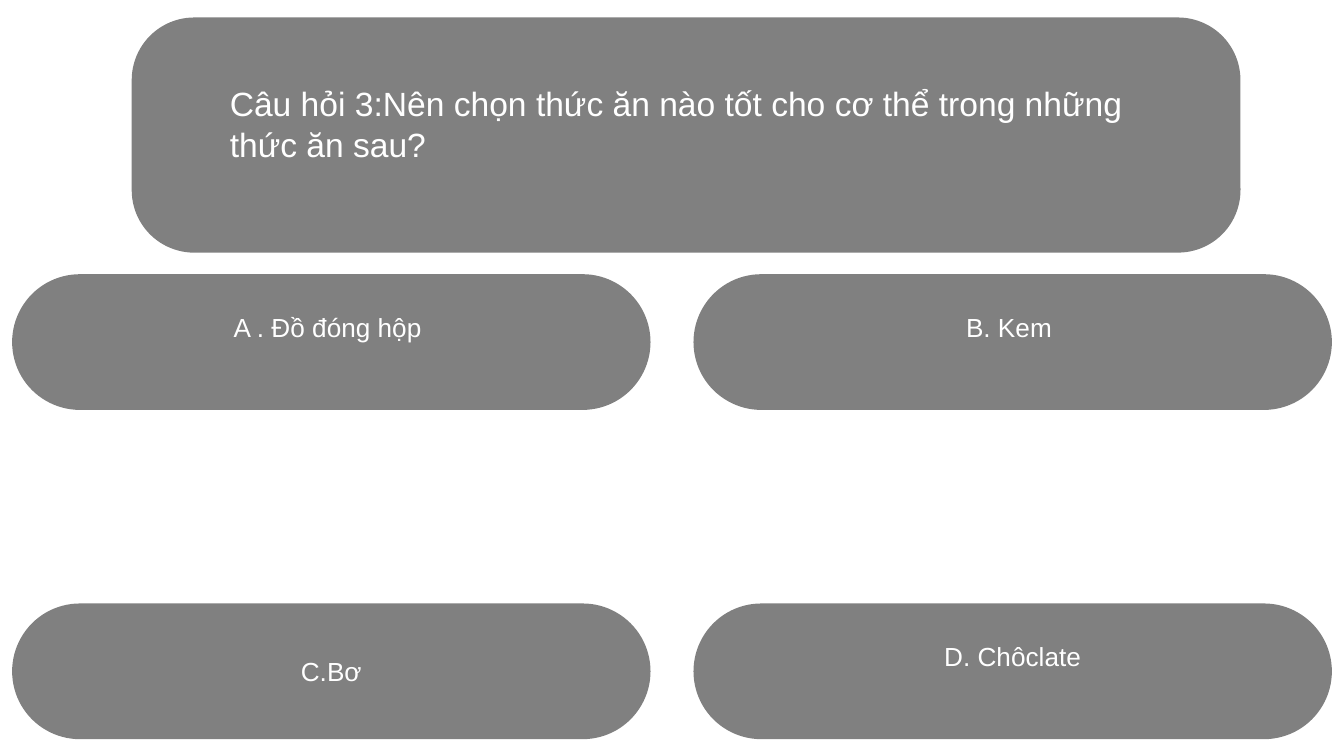
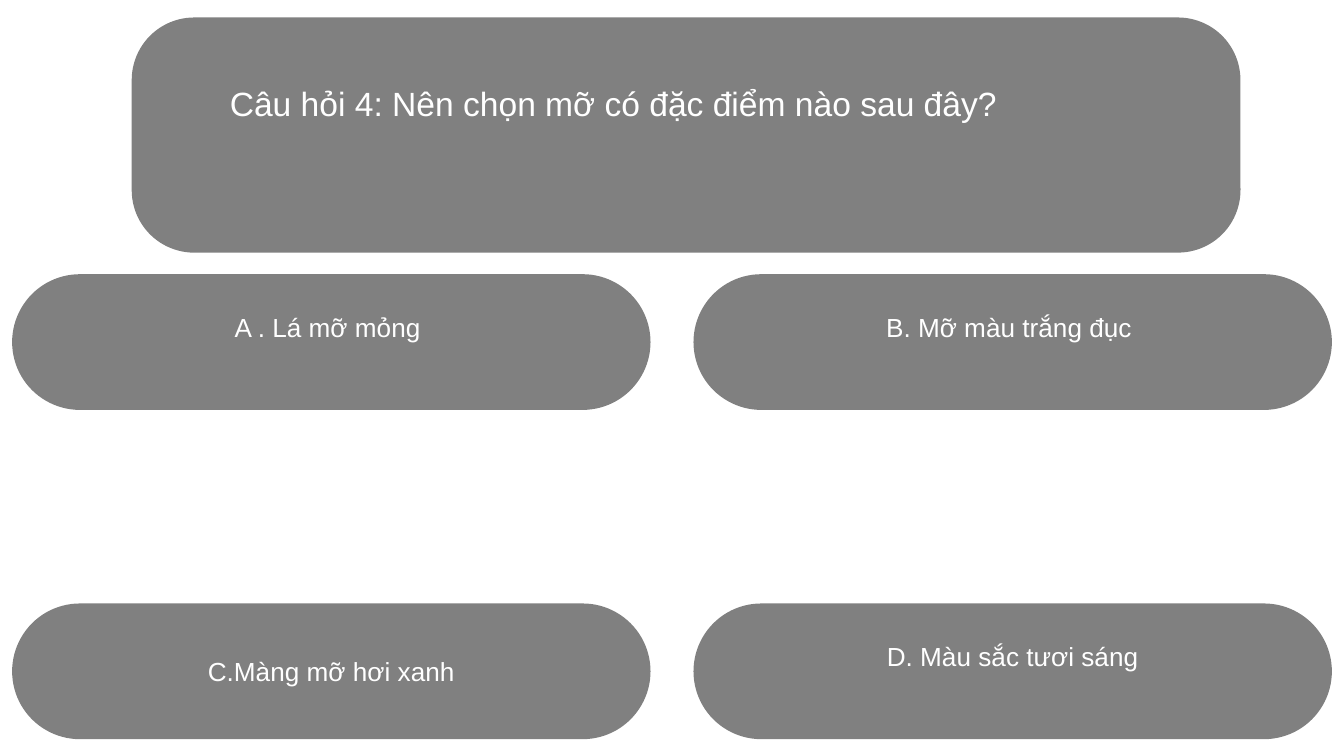
from dataclasses import dataclass
from itertools import product

from pptx import Presentation
from pptx import util as u
from pptx.dml.color import RGBColor
from pptx.enum import shapes, text

EMU_PER_PX = 4572  # 200 px to the inch
SLIDE_WIDTH, SLIDE_HEIGHT = 2000, 1125
TITLE_ONLY = 5


@dataclass(frozen=True)
class Theme:
    panel: RGBColor = RGBColor(0x80, 0x80, 0x80)
    ink: RGBColor = RGBColor(0xFF, 0xFF, 0xFF)
    font: str = "Arial"
    question_size: int = 18
    answer_size: int = 14


@dataclass(frozen=True)
class Box:
    left: int
    top: int
    width: int
    height: int


@dataclass(frozen=True)
class Answer:
    label: str
    raised: bool = True


@dataclass(frozen=True)
class Quiz:
    question: str
    question_height: int
    answers: tuple[Answer, ...]


THEME = Theme()
QUESTION_PANEL = Box(196, 26, 1650, 350)
QUESTION_LEFT, QUESTION_TOP, QUESTION_WIDTH = 322, 114, 1412
ANSWER_BOXES = [Box(left, top, 950, 202)
                for top, left in product((408, 898), (18, 1032))]
INSET_X, INSET_Y = 20, 10
RAISED_INSET = 54  # lifts an answer by half a line

QUIZZES = [
    Quiz("Câu hỏi 3:Nên chọn thức ăn nào tốt cho cơ thể trong những thức ăn sau?", 142,
         (Answer("A . Đồ đóng hộp "), Answer("B. Kem "),
          Answer("C.Bơ", raised=False), Answer("D. Chôclate"))),
    Quiz("Câu hỏi 4: Nên chọn mỡ có đặc điểm nào sau đây?", 80,
         (Answer("A . Lá mỡ mỏng "), Answer("B. Mỡ màu trắng đục "),
          Answer("C.Màng mỡ hơi xanh", raised=False), Answer("D. Màu sắc tươi sáng"))),
]


def px(length: int) -> u.Emu:
    return u.Emu(length * EMU_PER_PX)


def paint(shape) -> None:
    shape.fill.solid()
    shape.fill.fore_color.rgb = THEME.panel
    shape.line.fill.background()


def add_panel(slide, box: Box, roundness: float):
    panel = slide.shapes.add_shape(
        shapes.MSO_SHAPE.ROUNDED_RECTANGLE,
        px(box.left), px(box.top), px(box.width), px(box.height))
    panel.adjustments[0] = roundness
    panel.shadow.inherit = False
    paint(panel)
    return panel


def write(shape, content: str, *, size: int, align, anchor,
          bottom: int = INSET_Y, fit=text.MSO_AUTO_SIZE.NONE) -> None:
    frame = shape.text_frame
    frame.word_wrap = True
    frame.auto_size = fit
    frame.vertical_anchor = anchor
    frame.margin_left = frame.margin_right = px(INSET_X)
    frame.margin_top, frame.margin_bottom = px(INSET_Y), px(bottom)
    paragraph = frame.paragraphs[0]
    paragraph.alignment = align
    run = paragraph.add_run()
    run.text = content
    run.font.name = THEME.font
    run.font.size = u.Pt(size)
    run.font.color.rgb = THEME.ink


def add_answer(slide, box: Box, answer: Answer) -> None:
    write(add_panel(slide, box, 0.5), answer.label, size=THEME.answer_size,
          align=text.PP_ALIGN.CENTER, anchor=text.MSO_ANCHOR.MIDDLE,
          bottom=RAISED_INSET if answer.raised else INSET_Y)


def place_question(slide, quiz: Quiz) -> None:
    """Put the title placeholder in front of its rounded panel."""
    add_panel(slide, QUESTION_PANEL, 0.266)
    title = slide.shapes.title
    slide.shapes.element.append(title.element)
    title.left, title.top = px(QUESTION_LEFT), px(QUESTION_TOP)
    title.width, title.height = px(QUESTION_WIDTH), px(quiz.question_height)
    paint(title)
    write(title, quiz.question, size=THEME.question_size,
          align=text.PP_ALIGN.LEFT, anchor=text.MSO_ANCHOR.TOP,
          fit=text.MSO_AUTO_SIZE.SHAPE_TO_FIT_TEXT)


def add_quiz(presentation, quiz: Quiz) -> None:
    slide = presentation.slides.add_slide(presentation.slide_layouts[TITLE_ONLY])
    for box, answer in zip(ANSWER_BOXES, quiz.answers):
        add_answer(slide, box, answer)
    place_question(slide, quiz)


def main() -> None:
    presentation = Presentation()
    presentation.slide_width = px(SLIDE_WIDTH)
    presentation.slide_height = px(SLIDE_HEIGHT)
    for quiz in QUIZZES:
        add_quiz(presentation, quiz)
    presentation.save("out.pptx")


if __name__ == "__main__":
    main()
